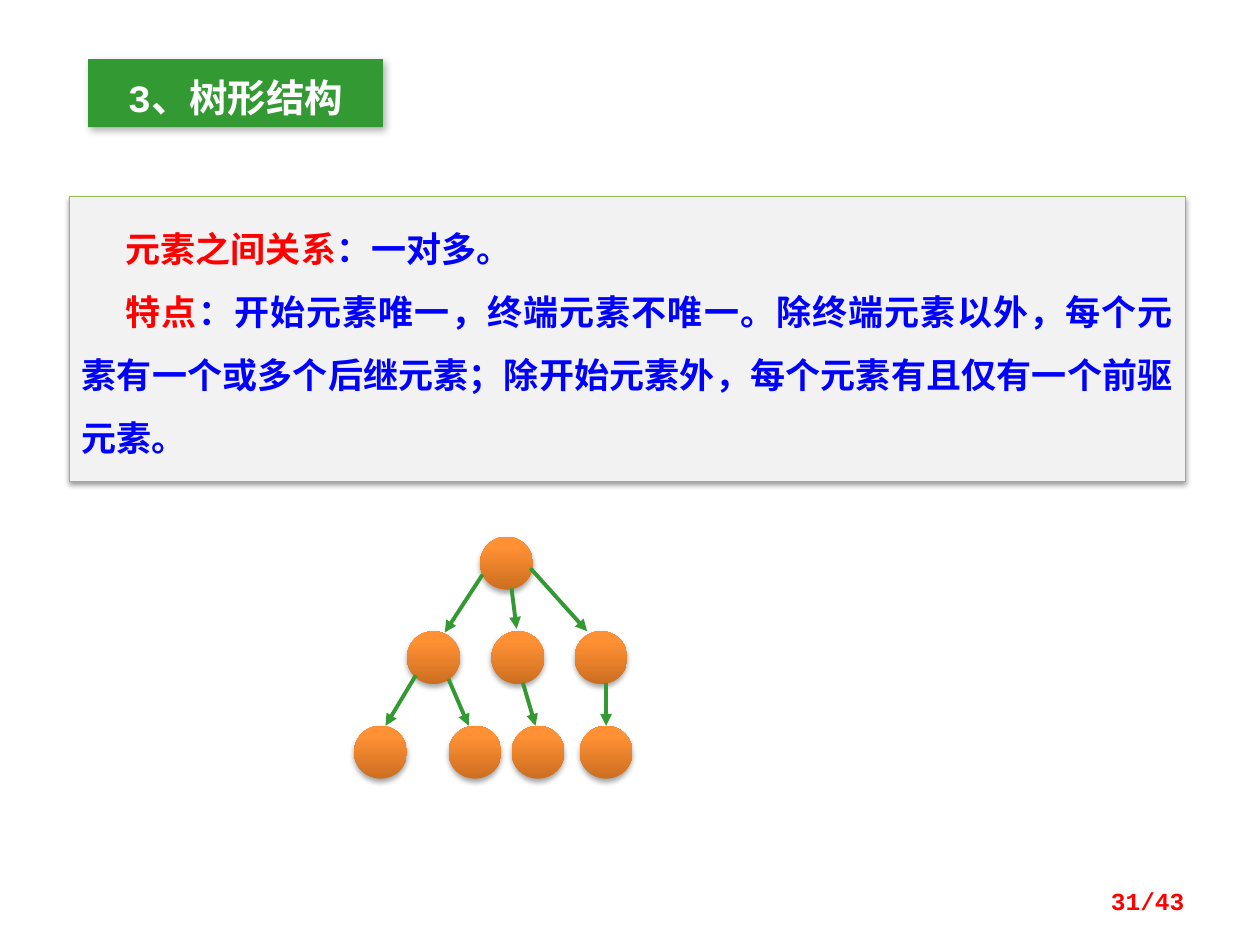
from dataclasses import dataclass

import pptx
import pptx.dml.color
import pptx.enum.shapes
import pptx.enum.text
import pptx.oxml
import pptx.oxml.ns
import pptx.util
from pptx.util import Inches

NAMESPACE = pptx.oxml.ns.nsdecls("a")
ALIGN = pptx.enum.text.PP_ALIGN
SHAPE = pptx.enum.shapes.MSO_SHAPE


@dataclass(frozen=True)
class Theme:
    font: str = "Courier New"
    green: str = "339933"
    white: str = "FFFFFF"
    panel: str = "F2F2F2"
    panel_border: str = "98B955"
    red: str = "FF0000"
    blue: str = "0000FF"
    node_stops: tuple = ((0, "CC6E20"), (80, "FF9034"), (100, "FF9136"))
    title_size: int = 22
    body_size: int = 20
    page_size: int = 14


THEME = Theme()


def color(value):
    return pptx.dml.color.RGBColor.from_string(value)


def add_run(paragraph, text, size, text_color):
    run = paragraph.add_run()
    run.text = text
    run.font.name = THEME.font
    run.font.size = pptx.util.Pt(size)
    run.font.bold = True
    run.font.color.rgb = color(text_color)


def set_margins(text_frame, left, top, right, bottom):
    text_frame.word_wrap = True
    text_frame.margin_left, text_frame.margin_top = Inches(left), Inches(top)
    text_frame.margin_right, text_frame.margin_bottom = Inches(right), Inches(bottom)


def add_shadow(shape, opacity, blur, distance, angle):
    """Blur and distance are in points, opacity in percent."""
    shape.shadow.inherit = False
    effects = shape._element.spPr.find(pptx.oxml.ns.qn("a:effectLst"))
    effects.append(pptx.oxml.parse_xml(
        f'<a:outerShdw {NAMESPACE} blurRad="{pptx.util.Pt(blur)}" '
        f'dist="{pptx.util.Pt(distance)}" dir="{angle * 60000}" rotWithShape="0">'
        f'<a:srgbClr val="000000"><a:alpha val="{opacity * 1000}"/></a:srgbClr>'
        '</a:outerShdw>'))


def add_title(slide, left, top, width, height):
    shape = slide.shapes.add_shape(SHAPE.RECTANGLE, *map(Inches, (left, top, width, height)))
    shape.fill.solid()
    shape.fill.fore_color.rgb = color(THEME.green)
    shape.line.fill.background()
    add_shadow(shape, 30, 4.5, 2.6, 53)
    text_frame = shape.text_frame
    set_margins(text_frame, 0.1, 0.12, 0.1, 0.05)
    text_frame.vertical_anchor = pptx.enum.text.MSO_ANCHOR.TOP
    paragraph = text_frame.paragraphs[0]
    paragraph.alignment = ALIGN.CENTER
    add_run(paragraph, "3、树形结构", THEME.title_size, THEME.white)


def add_description(slide, left, top, width, height, entries):
    shape = slide.shapes.add_shape(SHAPE.RECTANGLE, *map(Inches, (left, top, width, height)))
    shape.fill.solid()
    shape.fill.fore_color.rgb = color(THEME.panel)
    shape.line.color.rgb = color(THEME.panel_border)
    shape.line.width = pptx.util.Pt(0.75)
    add_shadow(shape, 38, 3.1, 1.6, 90)
    text_frame = shape.text_frame
    set_margins(text_frame, 0.1, 0.08, 0.1, 0.16)
    text_frame.vertical_anchor = pptx.enum.text.MSO_ANCHOR.TOP
    for index, (term, explanation) in enumerate(entries):
        paragraph = text_frame.add_paragraph() if index else text_frame.paragraphs[0]
        paragraph.alignment = ALIGN.JUSTIFY
        paragraph.line_spacing = 1.5
        paragraph._p.get_or_add_pPr().set("indent", str(Inches(0.35)))
        add_run(paragraph, term, THEME.body_size, THEME.red)
        add_run(paragraph, explanation, THEME.body_size, THEME.blue)


def add_node(slide, left, top, diameter):
    shape = slide.shapes.add_shape(
        SHAPE.OVAL, *map(Inches, (left, top, diameter, diameter)))
    shape.line.fill.background()
    shape.fill.gradient()
    shape.fill.gradient_angle = 90
    stops = shape._element.spPr.find(".//" + pptx.oxml.ns.qn("a:gsLst"))
    for stop in list(stops):
        stops.remove(stop)
    for position, value in THEME.node_stops:
        stops.append(pptx.oxml.parse_xml(
            f'<a:gs {NAMESPACE} pos="{position * 1000}"><a:srgbClr val="{value}"/></a:gs>'))
    add_shadow(shape, 35, 3.1, 1.8, 90)


def add_arrow(slide, start_x, start_y, end_x, end_y):
    connector = slide.shapes.add_connector(
        pptx.enum.shapes.MSO_CONNECTOR.STRAIGHT,
        *map(Inches, (start_x, start_y, end_x, end_y)))
    connector.line.color.rgb = color(THEME.green)
    connector.line.width = pptx.util.Pt(2.25)
    connector.line._get_or_add_ln().append(
        pptx.oxml.parse_xml(f'<a:tailEnd {NAMESPACE} type="triangle"/>'))
    connector._element.spPr.append(pptx.oxml.parse_xml(f'<a:effectLst {NAMESPACE}/>'))


def add_tree(slide, left, top):
    """Node levels are 0.75 apart; arrows run from one level to the next."""
    diameter, level_gap = 0.42, 0.75
    levels = ((1.0,), (0.42, 1.09, 1.75), (0, 0.75, 1.25, 1.79))
    arrows = (
        (1.02, 0.3, 0.72, 0.76), (1.25, 0.41, 1.29, 0.73), (1.4, 0.25, 1.85, 0.75),
        (0.49, 1.1, 0.25, 1.5), (0.75, 1.13, 0.91, 1.5),
        (1.34, 1.16, 1.44, 1.5), (2.0, 1.16, 2.0, 1.5),
    )
    for level, offsets in enumerate(levels):
        for offset in offsets:
            add_node(slide, left + offset, top + level * level_gap, diameter)
    for start_x, start_y, end_x, end_y in arrows:
        add_arrow(slide, left + start_x, top + start_y, left + end_x, top + end_y)


def add_page_number(slide, left, top, width, height):
    text_box = slide.shapes.add_textbox(*map(Inches, (left, top, width, height)))
    text_frame = text_box.text_frame
    text_frame.word_wrap = True
    text_frame.vertical_anchor = pptx.enum.text.MSO_ANCHOR.MIDDLE
    paragraph = text_frame.paragraphs[0]
    paragraph.alignment = ALIGN.RIGHT
    add_run(paragraph, "31/43", THEME.page_size, THEME.red)


def main():
    presentation = pptx.Presentation()
    presentation.slide_width, presentation.slide_height = Inches(10), Inches(7.5)
    slide = presentation.slides.add_slide(presentation.slide_layouts[6])
    add_description(slide, 0.55, 1.56, 8.86, 2.26, (
        ("元素之间关系", "：一对多。"),
        ("特点", "：开始元素唯一，终端元素不唯一。除终端元素以外，每个元素有一个或多个"
                 "后继元素；除开始元素外，每个元素有且仅有一个前驱元素。"),
    ))
    add_tree(slide, 2.81, 4.26)
    add_title(slide, 0.7, 0.47, 2.34, 0.54)
    add_page_number(slide, 7.17, 6.95, 2.33, 0.4)
    presentation.save("out.pptx")


if __name__ == "__main__":
    main()
